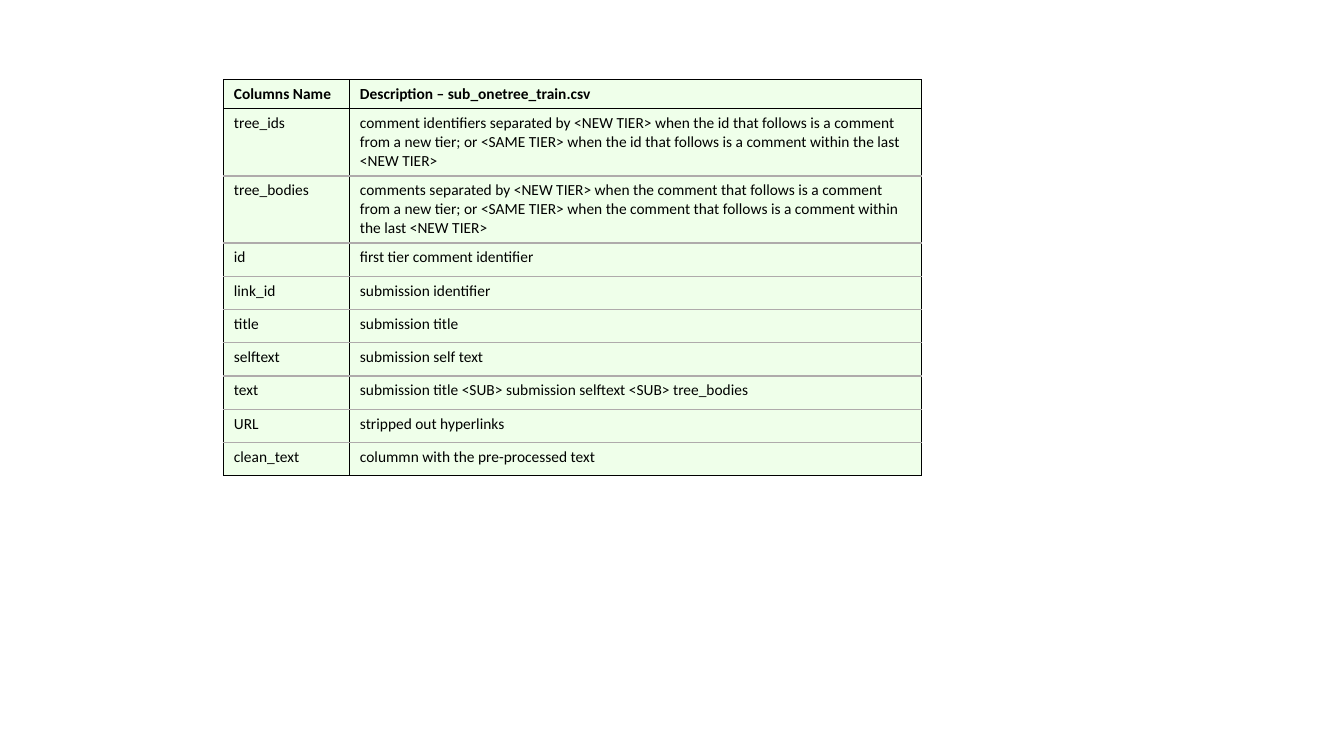
from typing import NamedTuple

from lxml.etree import SubElement
from pptx import Presentation
from pptx.dml.color import RGBColor
from pptx.oxml.ns import qn
from pptx.table import _Cell
from pptx.util import Inches, Pt

BLACK = "000000"
GREY = "AFABAB"
PALE_GREEN = "EFFFEA"


class Field(NamedTuple):
    """One row of the data dictionary."""
    name: str
    description: str


def tier_note(subject: str, item: str) -> str:
    """Describe how the tiers of a comment tree are separated."""
    return (f"{subject} separated by <NEW TIER> when the {item} that follows is a comment "
            f"from a new tier; or <SAME TIER> when the {item} that follows is a comment "
            "within the last <NEW TIER> ")


FIELDS = [
    Field("Columns Name", "Description – sub_onetree_train.csv"),
    Field("tree_ids", tier_note("comment identifiers", "id")),
    Field("tree_bodies", tier_note("comments", "comment")),
    Field("id", "first tier comment identifier"),
    Field("link_id", "submission identifier"),
    Field("title", "submission title"),
    Field("selftext", "submission self text"),
    Field("text", "submission title <SUB> submission selftext <SUB> tree_bodies"),
    Field("URL", "stripped out hyperlinks"),
    Field("clean_text", "colummn with the pre-processed text"),
]


def rgb(color: str) -> RGBColor:
    """Turn a hex string into a colour."""
    return RGBColor.from_string(color)


def set_border(cell: _Cell, side: str, color: str) -> None:
    """Add a one-point border to a side (L, R, T or B) of a cell."""
    border = SubElement(cell._tc.get_or_add_tcPr(), qn(f"a:ln{side}"), w=str(Pt(1)))
    SubElement(SubElement(border, qn("a:solidFill")), qn("a:srgbClr"), val=color)


def fill_cell(cell: _Cell, text: str, top: str, bottom: str, bold: bool) -> None:
    """Write and style a cell with the given top and bottom border colours."""
    for side, color in zip("LRTB", (BLACK, BLACK, top, bottom)):
        set_border(cell, side, color)
    cell.fill.solid()
    cell.fill.fore_color.rgb = rgb(PALE_GREEN)
    cell.text_frame.text = text
    font = cell.text_frame.paragraphs[0].runs[0].font
    font.name, font.size, font.bold = "Calibri", Pt(11), bold
    font.color.rgb = rgb(BLACK)


presentation = Presentation()
presentation.slide_width, presentation.slide_height = Inches(13.33), Inches(7.5)
slide = presentation.slides.add_slide(presentation.slide_layouts[6])

dictionary = slide.shapes.add_table(
    len(FIELDS), 2, Inches(2.22), Inches(0.79), Inches(6.92), Inches(3.86)).table
dictionary.first_row = dictionary.horz_banding = False
for column, width in zip(dictionary.columns, (1.25, 5.67)):
    column.width = Inches(width)

last = len(FIELDS) - 1
for index, field in enumerate(FIELDS):
    is_header = index == 0
    dictionary.rows[index].height = Inches(0.27 if is_header else 0.33)
    top_color = BLACK if index <= 1 else GREY
    bottom_color = BLACK if index in (0, last) else GREY
    for cell, text in zip(dictionary.rows[index].cells, field):
        fill_cell(cell, text, top_color, bottom_color, is_header)

presentation.save("out.pptx")
